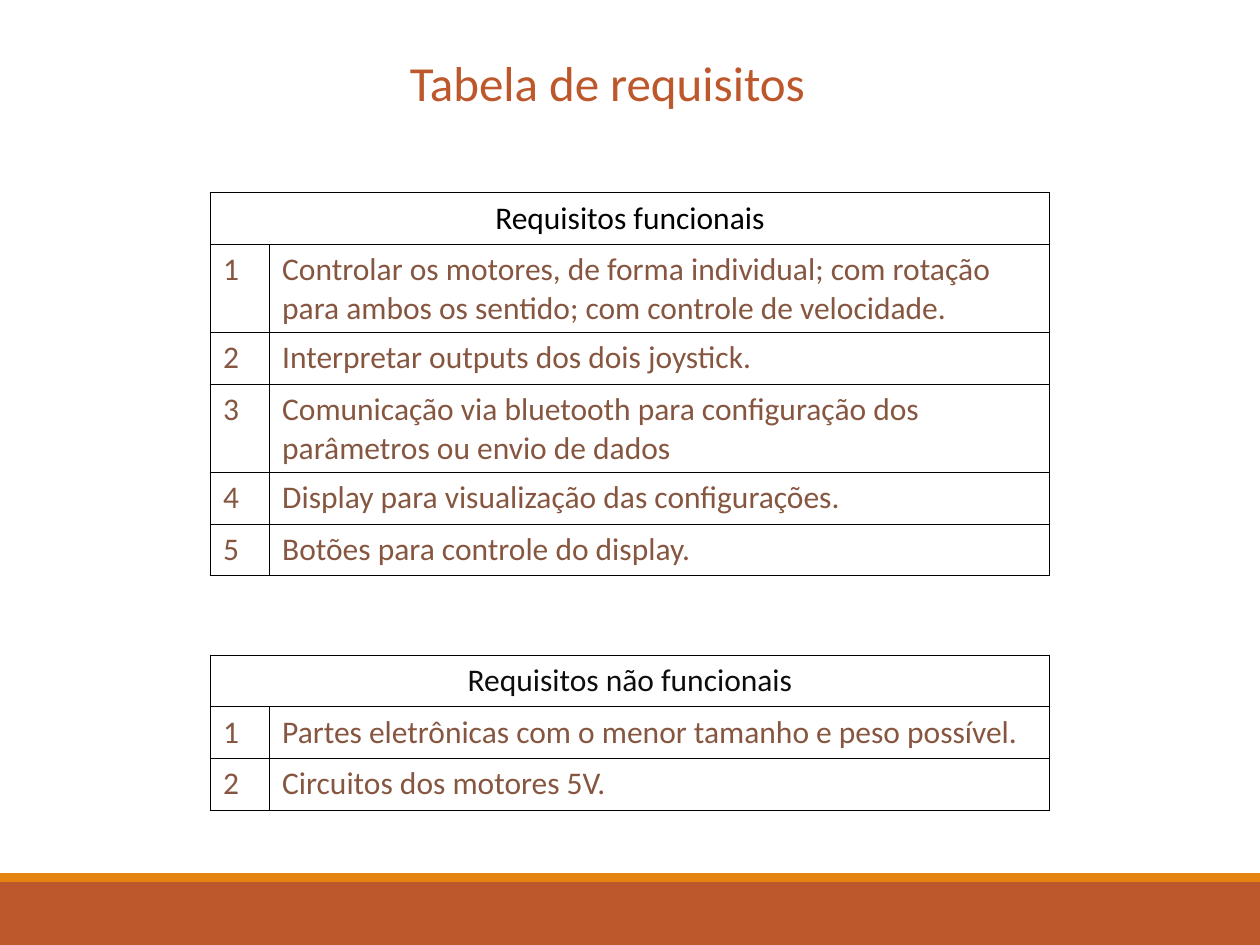
from lxml.etree import SubElement as Sub
from pptx import Presentation
from pptx.dml.color import RGBColor
from pptx.enum.shapes import MSO_SHAPE as Shape
from pptx.enum.text import MSO_ANCHOR as Anchor, MSO_AUTO_SIZE as Auto, PP_ALIGN as Align
from pptx.oxml.ns import qn
from pptx.util import Inches, Pt

RUST = "BD582C"
AMBER = "E48312"
BROWN = "865640"
BLACK = "000000"
INK = "0D0D0D"

NEEDS = [
    "Controlar os motores, de forma individual; com rotação para ambos os sentido; "
    "com controle de velocidade.",
    "Interpretar outputs dos dois joystick.",
    "Comunicação via bluetooth para configuração dos parâmetros ou envio de dados",
    "Display para visualização das configurações.",
    "Botões para controle do display.",
]
LIMITS = [
    "Partes eletrônicas com o menor tamanho e peso possível.",
    "Circuitos dos motores 5V.",
]


def color(code):
    """Turn a hex string into a colour."""
    return RGBColor.from_string(code)


class Page:
    """Hold the style and the current slide."""

    font = "Calibri"
    size = 18
    edge = 0.75
    row = 0.41
    cols = (0.47, 6.19)

    def __init__(self, deck):
        """Add a title-only slide."""
        self.slide = deck.slides.add_slide(deck.slide_layouts[5])

    def label(self, frame, text, ink, size, align=Align.LEFT):
        """Set one styled paragraph."""
        frame.text = text
        para = frame.paragraphs[0]
        para.alignment = align
        for run in para.runs:
            run.font.name = self.font
            run.font.size = Pt(size)
            run.font.color.rgb = color(ink)

    def band(self, top, height, fill):
        """Draw a full-width bar."""
        bar = self.slide.shapes.add_shape(
            Shape.RECTANGLE, 0, Inches(top), Inches(10), Inches(height))
        bar.shadow.inherit = False
        bar.fill.solid()
        bar.fill.fore_color.rgb = color(fill)
        bar.line.fill.background()

    def title(self, text, left, top, width, height):
        """Place and fill the title."""
        box = self.slide.shapes.title
        box.left, box.top = Inches(left), Inches(top)
        box.width, box.height = Inches(width), Inches(height)
        frame = box.text_frame
        frame.word_wrap = True
        frame.auto_size = Auto.SHAPE_TO_FIT_TEXT
        frame.vertical_anchor = Anchor.TOP
        self.label(frame, text, RUST, 28, Align.CENTER)

    def border(self, cell):
        """Give a cell thin borders and no fill."""
        props = cell._tc.get_or_add_tcPr()
        for side in ("lnL", "lnR", "lnT", "lnB"):
            line = Sub(props, qn(f"a:{side}"), w=str(Pt(self.edge)))
            fill = Sub(line, qn("a:solidFill"))
            Sub(fill, qn("a:srgbClr"), val=BLACK)
        cell.fill.background()

    def table(self, top, head, ink, items):
        """Add a numbered table under a merged heading."""
        count = len(items) + 1
        grid = self.slide.shapes.add_table(
            count, 2, Inches(1.67), Inches(top),
            Inches(sum(self.cols)), Inches(self.row * count)).table
        for col, width in zip(grid.columns, self.cols):
            col.width = Inches(width)
        for row in grid.rows:
            row.height = Inches(self.row)
            for cell in row.cells:
                self.border(cell)
        first = grid.cell(0, 0)
        first.merge(grid.cell(0, 1))
        self.label(first.text_frame, head, ink, self.size, Align.CENTER)
        for num, item in enumerate(items, 1):
            for col, text in enumerate((str(num), item)):
                self.label(grid.cell(num, col).text_frame, text, BROWN, self.size)


def main():
    """Build and save the slide."""
    deck = Presentation()
    deck.slide_width, deck.slide_height = Inches(10), Inches(7.5)
    page = Page(deck)
    page.band(7, 0.5, RUST)
    page.band(6.93, 0.07, AMBER)
    page.title("Tabela de requisitos", 2.32, 0.37, 5, 0.57)
    page.table(1.53, "Requisitos funcionais", BLACK, NEEDS)
    page.table(5.2, "Requisitos não funcionais", INK, LIMITS)
    deck.save("out.pptx")


if __name__ == "__main__":
    main()
